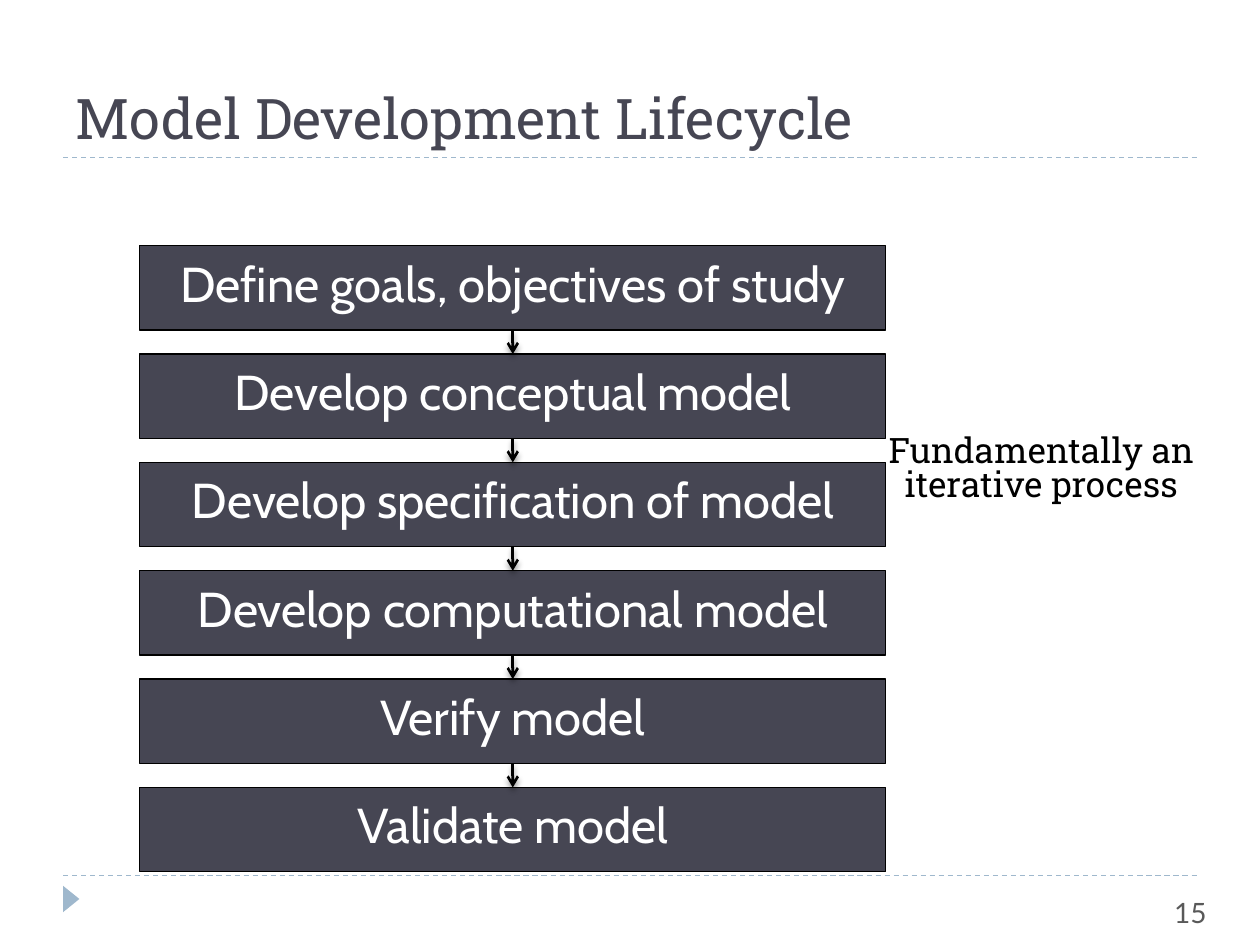
import pptx
import pptx.util
import pptx.dml.color
import pptx.enum.dml
import pptx.enum.shapes
import pptx.enum.text
import pptx.oxml
import pptx.oxml.ns

Inches = pptx.util.Inches
Pt = pptx.util.Pt
RGBColor = pptx.dml.color.RGBColor
Shape = pptx.enum.shapes.MSO_SHAPE
Align = pptx.enum.text.PP_ALIGN
Anchor = pptx.enum.text.MSO_ANCHOR
Fit = pptx.enum.text.MSO_AUTO_SIZE

DARK = RGBColor(0x46, 0x46, 0x53)
BLUE = RGBColor(0x9F, 0xB8, 0xCD)
GRAY = RGBColor(0x59, 0x59, 0x59)
BLACK = RGBColor(0, 0, 0)
WHITE = RGBColor(255, 255, 255)

SPACE = pptx.oxml.ns.nsdecls("a")
HEAD = f'<a:tailEnd {SPACE} type="arrow"/>'
FLAT = f"<a:effectLst {SPACE}/>"
SHADE = (f'<a:effectLst {SPACE}><a:outerShdw blurRad="38100" dist="25400" '
         'dir="5400000" rotWithShape="0"><a:srgbClr val="000000">'
         '<a:alpha val="40000"/></a:srgbClr></a:outerShdw></a:effectLst>')


class Deck:
    head = "Roboto Slab"
    body = "Cabin"
    small = "Lato"

    def __init__(self):
        self.show = pptx.Presentation()
        self.show.slide_width = Inches(10)
        self.show.slide_height = Inches(7.5)
        self.slide = self.show.slides.add_slide(self.show.slide_layouts[5])

    def words(self, frame, text, face, size, color, align, tight=True):
        frame.text = text
        para = frame.paragraphs[0]
        para.alignment = align
        if tight:
            para.line_spacing = 0.8
            para.space_before = Pt(size * 0.2)
        para.font.name = face
        para.font.size = Pt(size)
        para.font.color.rgb = color

    def title(self, text, *place):
        item = self.slide.shapes.title
        item.left, item.top, item.width, item.height = map(Inches, place)
        frame = item.text_frame
        frame.auto_size = Fit.NONE
        frame.vertical_anchor = Anchor.BOTTOM
        self.words(frame, text, self.head, 32, DARK, Align.LEFT, False)

    def label(self, text, place, face, size, color, align, wrap=True):
        box = self.slide.shapes.add_textbox(*map(Inches, place))
        frame = box.text_frame
        frame.word_wrap = wrap
        frame.auto_size = Fit.SHAPE_TO_FIT_TEXT
        self.words(frame, text, face, size, color, align)

    def shape(self, kind, place, fill):
        item = self.slide.shapes.add_shape(kind, *map(Inches, place))
        item.shadow.inherit = False
        item.fill.solid()
        item.fill.fore_color.rgb = fill
        item.line.fill.background()
        return item

    def step(self, text, *place):
        box = self.shape(Shape.RECTANGLE, place, DARK)
        box.line.color.rgb = BLACK
        box.line.width = Pt(0.75)
        box.text_frame.word_wrap = True
        box.text_frame.vertical_anchor = Anchor.MIDDLE
        self.words(box.text_frame, text, self.body, 28, WHITE, Align.CENTER)

    def line(self, ends, color, width, effect):
        kind = pptx.enum.shapes.MSO_CONNECTOR.STRAIGHT
        item = self.slide.shapes.add_connector(kind, *map(Inches, ends))
        item.line.color.rgb = color
        item.line.width = Pt(width)
        item._element.spPr.append(pptx.oxml.parse_xml(effect))
        return item.line

    def rule(self, y):
        line = self.line((0.5, y, 9.5, y), BLUE, 0.75, FLAT)
        line.dash_style = pptx.enum.dml.MSO_LINE.DASH

    def arrow(self, x, top, end):
        line = self.line((x, top, x, end), BLACK, 1.5, SHADE)
        line._get_or_add_ln().append(pptx.oxml.parse_xml(HEAD))


def main():
    deck = Deck()
    for y in (6.95, 1.25):
        deck.rule(y)
    mark = deck.shape(Shape.ISOSCELES_TRIANGLE, (0.46, 7.07, 0.21, 0.13), BLUE)
    mark.rotation = 90
    deck.label("15", (9.22, 7.11, 0.54, 0.32), deck.small, 16, GRAY,
               Align.LEFT, False)

    steps = ("Define goals, objectives of study", "Develop conceptual model",
             "Develop specification of model", "Develop computational model",
             "Verify model", "Validate model")
    left, top, width, height, pitch = 1.11, 1.95, 5.92, 0.67, 0.86
    for i, text in enumerate(steps):
        y = top + i * pitch
        deck.step(text, left, y, width, height)
        if i:
            deck.arrow(left + width / 2, y - pitch + height, y)

    deck.label("Fundamentally an iterative process", (6.94, 3.42, 2.65, 0.64),
               deck.head, 20, BLACK, Align.CENTER)
    deck.title("Model Development Lifecycle", 0.5, 0.25, 9, 1)
    deck.show.save("out.pptx")


if __name__ == "__main__":
    main()
